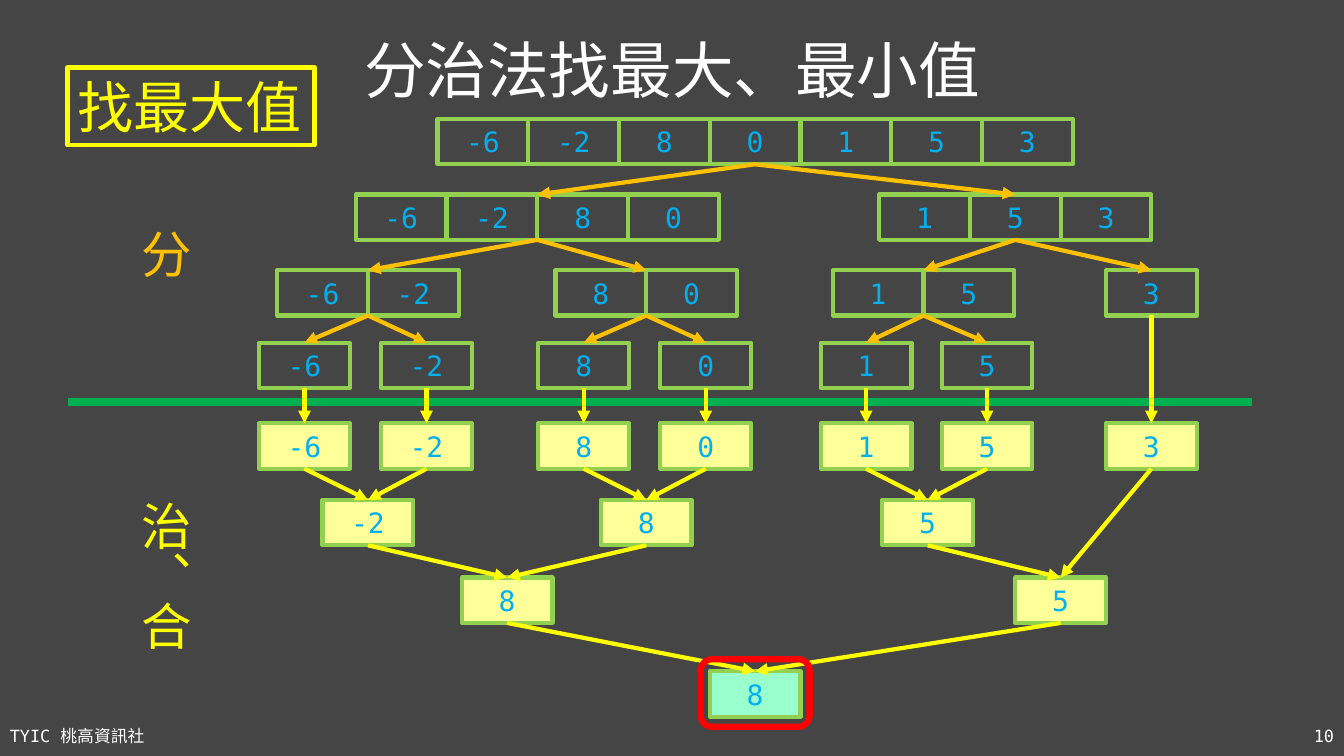
from dataclasses import dataclass

from lxml.etree import SubElement
from pptx import Presentation
from pptx.dml.color import RGBColor
from pptx.enum.shapes import MSO_CONNECTOR, MSO_SHAPE
from pptx.enum.text import MSO_ANCHOR, MSO_AUTO_SIZE, PP_ALIGN
from pptx.oxml.ns import qn
from pptx.util import Inches, Pt

FONT = "DejaVu Sans Mono"
WHITE, YELLOW, ORANGE = "FFFFFF", "FFFF00", "FFC000"
LIME, BLUE, CREAM, MINT = "92D050", "00B0F0", "FFFF99", "99FFCC"
CELL_W, CELL_H = 0.9, 0.45
TOP, HALVES, PAIRS, SPLIT, LEAVES, MERGED, FINAL, ROOT = (
    1.18, 1.93, 2.68, 3.4, 4.2, 4.96, 5.73, 6.66)


@dataclass
class Row:
    """A run of cells centred on x, with arrows to the rows named in goes."""
    x: float
    y: float
    nums: str
    goes: str = ""
    fill: str | None = None


@dataclass
class Label:
    text: str
    box: tuple[float, float, float, float]
    size: int
    color: str
    align: PP_ALIGN = PP_ALIGN.LEFT
    anchor: MSO_ANCHOR = MSO_ANCHOR.MIDDLE
    wrap: bool = True
    vert: str = "horz"
    edge: str | None = None
    space: float = 1.0


ROWS = {
    "top": Row(7.49, TOP, "-6 -2 8 0 1 5 3", "left right"),
    "left": Row(5.33, HALVES, "-6 -2 8 0", "pair1 pair2"),
    "right": Row(10.07, HALVES, "1 5 3", "pair3 lone"),
    "pair1": Row(3.65, PAIRS, "-6 -2", "split1 split2"),
    "pair2": Row(6.41, PAIRS, "8 0", "split3 split4"),
    "pair3": Row(9.16, PAIRS, "1 5", "split5 split6"),
    "lone": Row(11.42, PAIRS, "3", "leaf7"),
    "leaf7": Row(11.42, LEAVES, "3", "max5", CREAM),
    "max1": Row(3.65, MERGED, "-2", "max4", CREAM),
    "max2": Row(6.41, MERGED, "8", "max4", CREAM),
    "max3": Row(9.2, MERGED, "5", "max5", CREAM),
    "max4": Row(5.03, FINAL, "8", "root", CREAM),
    "max5": Row(10.52, FINAL, "5", "root", CREAM),
    "root": Row(7.49, ROOT, "8", "", MINT),
}
SINGLES = zip((3.02, 4.23, 5.79, 7, 8.59, 9.79), "-6 -2 8 0 1 5".split())
for i, (x, num) in enumerate(SINGLES):
    ROWS[f"split{i + 1}"] = Row(x, SPLIT, num, f"leaf{i + 1}")
    ROWS[f"leaf{i + 1}"] = Row(x, LEAVES, num, f"max{i // 2 + 1}", CREAM)

LABELS = [
    Label("TYIC 桃高資訊社", (0, 7.1, 3, 0.4), 12, WHITE),
    Label("10", (10.33, 7.1, 3, 0.4), 12, WHITE, PP_ALIGN.RIGHT),
    Label("分治法找最大、最小值", (0.92, 0, 11.5, 1.45), 44, WHITE,
          PP_ALIGN.CENTER, space=0.9),
    Label("分", (1.17, 2.17, 0.81, 0.61), 36, ORANGE, PP_ALIGN.CENTER,
          MSO_ANCHOR.TOP, False, "eaVert"),
    Label("治、合", (1.17, 4.87, 0.81, 1.62), 36, YELLOW, PP_ALIGN.CENTER,
          MSO_ANCHOR.TOP, False, "eaVert"),
    Label("找最大值", (0.67, 0.67, 2.45, 0.77), 40, YELLOW,
          anchor=MSO_ANCHOR.TOP, wrap=False, edge=YELLOW),
]


def rgb(color: str) -> RGBColor:
    return RGBColor.from_string(color)


def apply(item: object, form: dict) -> None:
    for name, value in form.items():
        setattr(item, name, value)


def write(shape, text: str, size: int, color: str, align: PP_ALIGN,
          space: float = 1.0) -> None:
    para = shape.text_frame.paragraphs[0]
    apply(para, {"alignment": align, "line_spacing": space})
    run = para.add_run()
    apply(run, {"text": text})
    apply(run.font, {"name": FONT, "size": Pt(size)})
    run.font.color.rgb = rgb(color)


def stroke(shape, color: str, width: float) -> None:
    shape.line.color.rgb = rgb(color)
    shape.line.width = Pt(width)


def block(slide, kind: MSO_SHAPE, box: tuple, edge: str, width: float,
          fill: str | None = None):
    shape = slide.shapes.add_shape(kind, *map(Inches, box))
    shape.shadow.inherit = False
    if fill:
        shape.fill.solid()
        shape.fill.fore_color.rgb = rgb(fill)
    else:
        shape.fill.background()
    stroke(shape, edge, width)
    return shape


def label(slide, item: Label) -> None:
    shape = slide.shapes.add_textbox(*map(Inches, item.box))
    fit = MSO_AUTO_SIZE.NONE if item.wrap else MSO_AUTO_SIZE.SHAPE_TO_FIT_TEXT
    apply(shape.text_frame, {"word_wrap": item.wrap, "auto_size": fit,
                             "vertical_anchor": item.anchor})
    shape.element.find(".//" + qn("a:bodyPr")).set("vert", item.vert)
    if item.edge:
        stroke(shape, item.edge, 3)
    write(shape, item.text, item.size, item.color, item.align, item.space)


def cells(slide, row: Row) -> None:
    nums = row.nums.split()
    left = row.x - len(nums) * CELL_W / 2
    for i, num in enumerate(nums):
        box = (left + i * CELL_W, row.y, CELL_W, CELL_H)
        shape = block(slide, MSO_SHAPE.RECTANGLE, box, LIME, 3, row.fill)
        shape.text_frame.vertical_anchor = MSO_ANCHOR.MIDDLE
        write(shape, num, 20, BLUE, PP_ALIGN.CENTER)


def line(slide, ends: tuple, color: str, width: float, head: bool) -> None:
    link = slide.shapes.add_connector(MSO_CONNECTOR.STRAIGHT,
                                      *map(Inches, ends))
    stroke(link, color, width)
    props = link.element.find(qn("p:spPr"))
    if head:
        SubElement(props.find(qn("a:ln")), qn("a:tailEnd"), type="triangle")
    SubElement(props, qn("a:effectLst"))


def main() -> None:
    deck = Presentation()
    apply(deck, {"slide_width": Inches(13.33), "slide_height": Inches(7.5)})
    slide = deck.slides.add_slide(deck.slide_layouts[6])
    slide.background.fill.solid()
    slide.background.fill.fore_color.rgb = rgb("454545")

    line(slide, (0.67, 3.99, 12.42, 3.99), "00B050", 6, False)
    for row in ROWS.values():
        cells(slide, row)
    for row in ROWS.values():
        for name in row.goes.split():
            goal = ROWS[name]
            color = YELLOW if goal.fill else ORANGE
            ends = (row.x, row.y + CELL_H, goal.x, goal.y)
            line(slide, ends, color, 3, True)
    block(slide, MSO_SHAPE.ROUNDED_RECTANGLE, (6.95, 6.54, 1.08, 0.67),
          "FF0000", 4.5)
    for item in LABELS:
        label(slide, item)
    deck.save("out.pptx")


if __name__ == "__main__":
    main()
